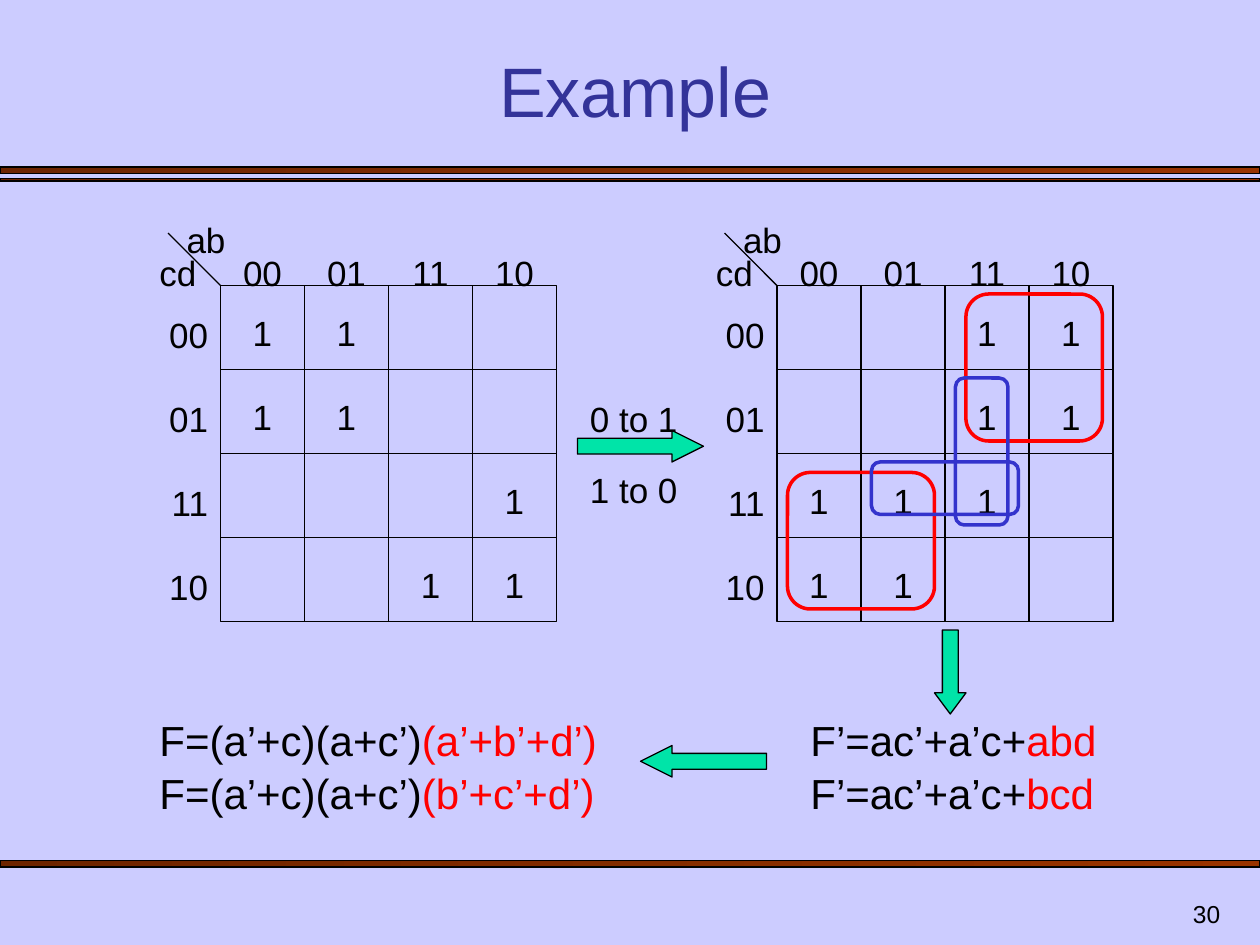
from pptx import Presentation
from pptx.dml.color import RGBColor
from pptx.enum.shapes import MSO_CONNECTOR, MSO_SHAPE as SHAPE
from pptx.enum.text import MSO_ANCHOR as ANCHOR, PP_ALIGN as ALIGN
from pptx.oxml.ns import qn
from pptx.util import Pt
from lxml import etree

BLACK, RED, BLUE = "000000", "FF0000", "3333CC"
CELL, MAP_TOP = 48, 163.2
GRAY_CODE = ["00", "01", "11", "10"]


def rgb(hex_color):
    return RGBColor.from_string(hex_color)


class Deck:
    font = "Arial"
    background = "CCCCFF"
    title_color = "333399"
    arrow_color = "00E4A8"
    bar_colors = ("6D2400", "993300")

    def __init__(self, prs):
        self.s = prs.slides.add_slide(prs.slide_layouts[5])
        self.shapes = self.s.shapes
        fill = self.s.background.fill
        fill.solid()
        fill.fore_color.rgb = rgb(self.background)

    def style(self, p, size, color, align):
        p.alignment = align
        p.font.name = self.font
        p.font.size = Pt(size)
        p.font.color.rgb = rgb(color)

    def title(self, text, x, y, w, h):
        sp = self.s.shapes.title
        sp.left, sp.top, sp.width, sp.height = Pt(x), Pt(y), Pt(w), Pt(h)
        tf = sp.text_frame
        tf.text = text
        tf.vertical_anchor = ANCHOR.BOTTOM
        self.style(tf.paragraphs[0], 40, self.title_color, ALIGN.CENTER)

    def text(self, lines, x, y, w, h=31, size=20, align=ALIGN.LEFT,
             anchor=ANCHOR.TOP, wrap=True):
        """Each line is a list of (text, color) runs."""
        tf = self.shapes.add_textbox(Pt(x), Pt(y), Pt(w), Pt(h)).text_frame
        tf.word_wrap = wrap
        tf.vertical_anchor = anchor
        for i, runs in enumerate(lines):
            p = tf.add_paragraph() if i else tf.paragraphs[0]
            self.style(p, size, BLACK, align)
            p.line_spacing = 1.06
            for text, color in runs:
                r = p.add_run()
                r.text = text
                if color != BLACK:
                    r.font.color.rgb = rgb(color)

    def label(self, text, x, y, w, **options):
        self.text([[(text, BLACK)]], x, y, w, **options)

    def shape(self, kind, x, y, w, h, line=BLACK, weight=0.75, adjust=(), rotation=0):
        sp = self.shapes.add_shape(kind, Pt(x), Pt(y), Pt(w), Pt(h))
        sp.shadow.inherit = False
        sp.fill.background()
        sp.line.color.rgb = rgb(line)
        sp.line.width = Pt(weight)
        sp.rotation = rotation
        for i, value in enumerate(adjust):
            sp.adjustments[i] = value
        return sp

    def bar(self, y, h):
        fill = self.shape(SHAPE.RECTANGLE, 0, y, 720, h).fill
        fill.gradient()
        fill.gradient_angle = 0
        for stop, color in zip(fill.gradient_stops, self.bar_colors):
            stop.color.rgb = rgb(color)

    def arrow(self, x, y, w, head, rotation=0):
        sp = self.shape(SHAPE.RIGHT_ARROW, x, y, w, 18,
                        adjust=(0.5, head), rotation=rotation)
        sp.fill.solid()
        sp.fill.fore_color.rgb = rgb(self.arrow_color)

    def loop(self, x, y, w, h, color):
        self.shape(SHAPE.ROUNDED_RECTANGLE, x, y, w, h, color, 2, (0.167,))

    def line(self, x1, y1, x2, y2):
        cn = self.shapes.add_connector(
            MSO_CONNECTOR.STRAIGHT, Pt(x1), Pt(y1), Pt(x2), Pt(y2))
        cn.line.color.rgb = rgb(BLACK)
        cn.line.width = Pt(0.75)
        etree.SubElement(cn._element.spPr, qn("a:effectLst"))

    def karnaugh_map(self, left, rows):
        """Draw a grouped 4 by 4 map; each row is a string of "1" and "."."""
        self.shapes = self.s.shapes.add_group_shape().shapes
        self.line(left - 30, MAP_TOP - 30, left, MAP_TOP)
        self.label("ab", left - 26.5, 120, 38)
        self.label("cd", left - 42, 139, 36)
        for i, code in enumerate(GRAY_CODE):
            self.label(code, left + i * CELL, 139, CELL, align=ALIGN.CENTER)
            self.label(code, left - 42, MAP_TOP + i * CELL + 11, 42, align=ALIGN.RIGHT)
        for i, row in enumerate(rows):
            for j, value in enumerate(row):
                x, y = left + j * CELL, MAP_TOP + i * CELL
                self.shape(SHAPE.RECTANGLE, x, y, CELL, CELL)
                if value == "1":
                    self.label(value, x, y + 9.6, CELL, align=ALIGN.CENTER)
        self.shapes = self.s.shapes

    def equations(self, start, ends, x, w, wrap=True):
        lines = [[(start, BLACK), (end, RED)] for end in ends]
        self.text(lines, x, 403, w, 65, size=24, wrap=wrap)


def main():
    prs = Presentation()
    prs.slide_width, prs.slide_height = Pt(720), Pt(540)
    deck = Deck(prs)

    for y, h in [(95.5, 3.75), (102, 1.5), (491.75, 3.75)]:
        deck.bar(y, h)
    deck.title("Example", 42, 30, 642, 49)
    deck.label("30", 554.4, 504, 150, h=30, size=14,
               align=ALIGN.RIGHT, anchor=ANCHOR.BOTTOM)

    deck.karnaugh_map(126, ["11..", "11..", "...1", "..11"])
    deck.karnaugh_map(444, ["..11", "..11", "111.", "11.."])
    deck.loop(450, 270, 84, 78, RED)
    deck.loop(552, 168, 78, 84, RED)
    deck.loop(498, 264, 84, 30, BLUE)
    deck.loop(546, 216, 30, 84, BLUE)

    deck.arrow(330, 246, 72, 1)
    deck.label("0 to 1", 330, 222, 72)
    deck.label("1 to 0", 330, 263, 72)
    deck.arrow(519, 375, 48, 0.67, rotation=90)
    deck.arrow(366, 426, 72, 1, rotation=180)

    deck.equations("F’=ac’+a’c+", ["abd", "bcd"], 456, 192)
    deck.equations("F=(a’+c)(a+c’)", ["(a’+b’+d’)", "(b’+c’+d’)"], 84, 265, wrap=False)
    prs.save("out.pptx")


if __name__ == "__main__":
    main()
